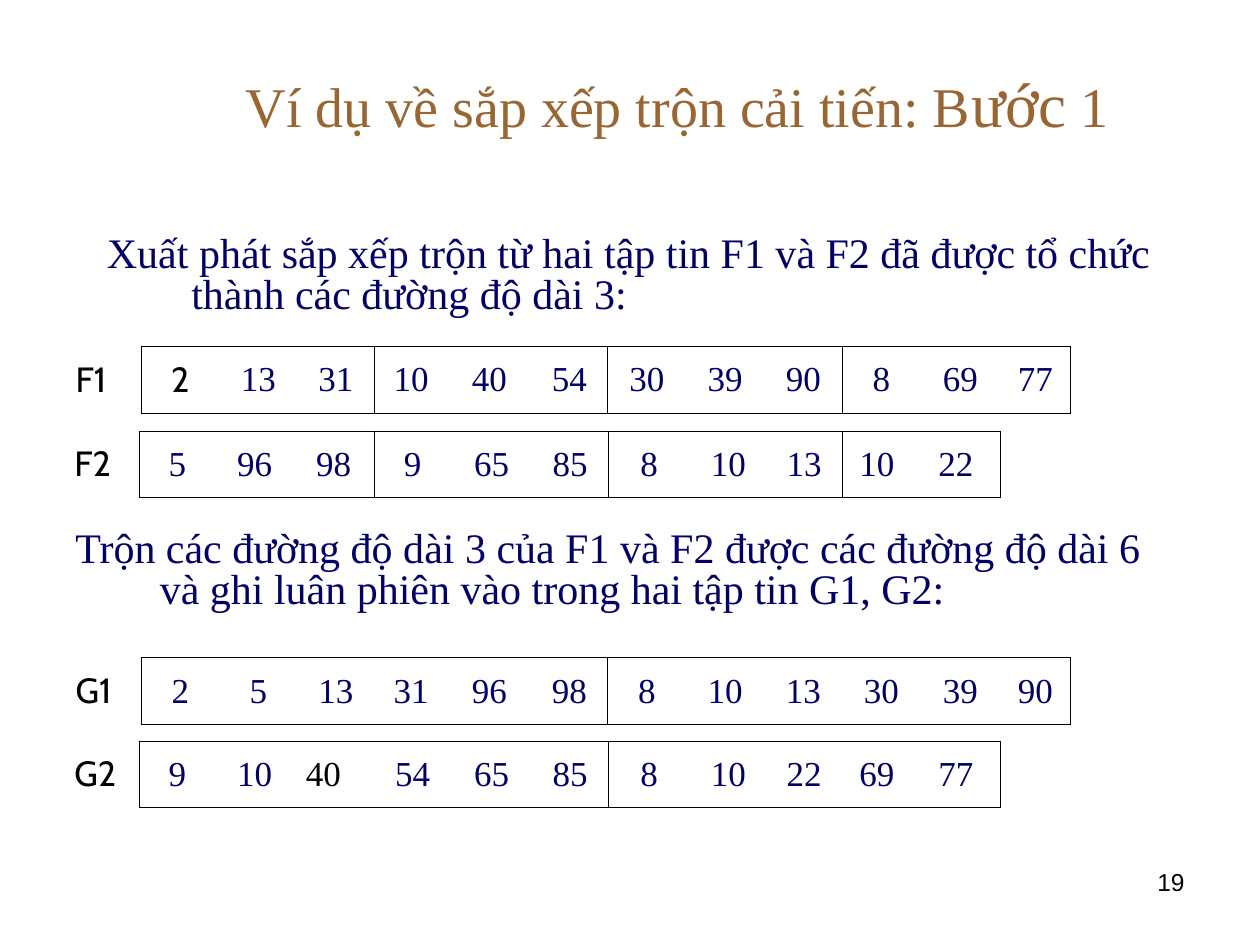
from lxml.etree import SubElement
from pptx import Presentation
from pptx.dml.color import RGBColor
from pptx.enum.text import MSO_ANCHOR, MSO_AUTO_SIZE, PP_ALIGN
from pptx.oxml.ns import qn
from pptx.util import Inches, Pt

BROWN = RGBColor(0x99, 0x66, 0x33)
NAVY = RGBColor(0x00, 0x00, 0x66)
BLACK = RGBColor(0x00, 0x00, 0x00)
SERIF, SANS, LABEL = "Times New Roman", "Arial", "Cabin"
WIDE, HIGH = Inches(10), Inches(7.5)

LONG = (62, 62, 62, 61, 58, 66, 61, 62, 62, 62, 62, 63, 56)
SHORT = (61, 61, 61, 64, 61, 64, 60, 65, 60, 60, 55, 70)
LONG_X, SHORT_X = (5, 80), (4.9, 74.5)
ROW = 7.07

FILES = [
    ("F1", LONG_X, 36.67, LONG,
     [[2, 13, 31], [10, 40, 54], [30, 39, 90], [8, 69, 77]]),
    ("F2", SHORT_X, 45.6, SHORT,
     [[5, 96, 98], [9, 65, 85], [8, 10, 13], [10, 22]]),
    ("G1", LONG_X, 69.6, LONG,
     [[2, 5, 13, 31, 96, 98], [8, 10, 13, 30, 39, 90]]),
    ("G2", SHORT_X, 78.4, SHORT,
     [[9, 10, 40, 54, 65, 85], [8, 10, 22, 69, 77]]),
]
ODD = {
    ("F1", 1): (LABEL, BLACK, PP_ALIGN.CENTER),
    ("G2", 3): (SERIF, BLACK, PP_ALIGN.LEFT),
}


def scale(box):
    x, y, w, h = box
    return (int(WIDE * x / 100), int(HIGH * y / 100),
            int(WIDE * w / 100), int(HIGH * h / 100))


def style(para, face, size, color, align=None):
    para.font.name = face
    para.font.size = Pt(size)
    para.font.color.rgb = color
    para.alignment = align


def add_title(slide, box):
    title = slide.shapes.title
    title.left, title.top, title.width, title.height = scale(box)
    frame = title.text_frame
    frame.auto_size = MSO_AUTO_SIZE.NONE
    frame.vertical_anchor = MSO_ANCHOR.MIDDLE
    para = frame.paragraphs[0]
    style(para, SERIF, 32, BROWN, PP_ALIGN.CENTER)
    for text, size in (("Ví dụ về sắp xếp trộn cải tiến: B", 32),
                       ("ước", 36), (" 1", 32)):
        run = para.add_run()
        run.text = text
        run.font.size = Pt(size)


def add_text(slide, box, text):
    frame = slide.shapes.add_textbox(*scale(box)).text_frame
    frame.word_wrap = True
    para = frame.paragraphs[0]
    para.text = text
    return para


def add_note(slide, box, text):
    para = add_text(slide, box, text)
    style(para, SERIF, 24, NAVY)
    para.line_spacing = 0.8
    props = para._p.get_or_add_pPr()
    props.set("marL", str(Inches(0.67)))
    props.set("indent", str(-Inches(0.67)))


def add_page(slide, box, text):
    style(add_text(slide, box, text), SANS, 14, BLACK, PP_ALIGN.RIGHT)


def set_edges(cell, shown):
    props = cell._tc.get_or_add_tcPr()
    for side in "LRTB":
        line = SubElement(props, qn("a:ln" + side), w=str(Pt(0.45)))
        if side in shown:
            fill = SubElement(line, qn("a:solidFill"))
            SubElement(fill, qn("a:srgbClr"), val=str(BLACK))
        else:
            SubElement(line, qn("a:noFill"))


def fill_cell(cell, text, look, edges):
    set_edges(cell, edges)
    cell.fill.background()
    cell.vertical_anchor = MSO_ANCHOR.MIDDLE
    para = cell.text_frame.paragraphs[0]
    para.text = str(text)
    face, color, align = look
    style(para, face, 20, color, align)


def add_file(slide, box, name, cols, runs):
    x, y, w, h = scale(box)
    table = slide.shapes.add_table(1, len(cols), x, y, w, h).table
    table.first_row = table.horz_banding = False
    table.rows[0].height = h
    for col, part in zip(table.columns, cols):
        col.width = int(w * part / sum(cols))
    fill_cell(table.cell(0, 0), name, (LABEL, BLACK, PP_ALIGN.JUSTIFY), "R")
    spot = 0
    for run in runs:
        for place, value in enumerate(run):
            spot += 1
            edges = "TB"
            if place == 0:
                edges += "L"
            if place == len(run) - 1:
                edges += "R"
            look = ODD.get((name, spot), (SERIF, NAVY, PP_ALIGN.CENTER))
            fill_cell(table.cell(0, spot), value, look, edges)


def main():
    deck = Presentation()
    deck.slide_width, deck.slide_height = WIDE, HIGH
    slide = deck.slides.add_slide(deck.slide_layouts[5])
    add_title(slide, (12.5, 4, 82.5, 13.73))
    add_note(slide, (7.5, 24.4, 87.5, 12),
             "Xuất phát sắp xếp trộn từ hai tập tin F1 và F2 "
             "đã được tổ chức thành các đường độ dài 3:")
    add_note(slide, (5, 55.6, 90, 12.27),
             "Trộn các đường độ dài 3 của F1 và F2 được các đường độ dài 6 "
             "và ghi luân phiên vào trong hai tập tin G1, G2:")
    for name, (x, w), y, cols, runs in FILES:
        add_file(slide, (x, y, w, ROW), name, cols, runs)
    add_page(slide, (71.7, 91.07, 23.3, 6.93), "19")
    deck.save("out.pptx")


if __name__ == "__main__":
    main()
